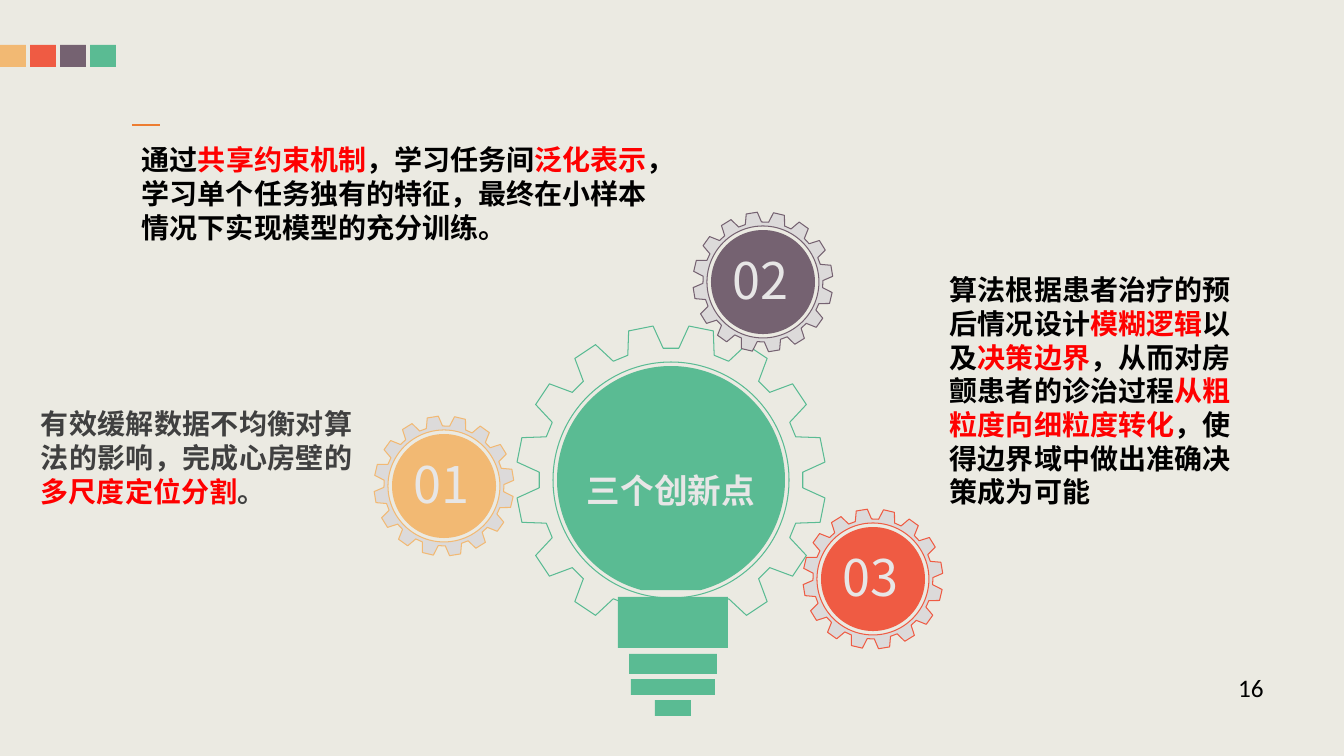
from dataclasses import dataclass
from math import cos, radians, sin

from lxml.etree import SubElement
from pptx import Presentation
from pptx.dml.color import RGBColor
from pptx.enum.shapes import MSO_CONNECTOR, MSO_SHAPE
from pptx.enum.text import MSO_ANCHOR, MSO_AUTO_SIZE, PP_ALIGN
from pptx.oxml.ns import qn
from pptx.shapes.autoshape import Shape
from pptx.slide import Slide
from pptx.text.text import TextFrame, _Run as Run
from pptx.util import Pt

EMU_PER_PX = 914400 / 100.8
CJK_FONT = "Noto Sans CJK SC"
TEETH = 16
PITCH = 360 / TEETH
TIP_HALF, VALLEY_HALF = 4.6, 3.4  # degrees

CREAM = RGBColor(0xEB, 0xEA, 0xE2)
GREEN = RGBColor(0x5A, 0xBB, 0x93)
SAND = RGBColor(0xF2, 0xB9, 0x73)
CORAL = RGBColor(0xEF, 0x5B, 0x43)
PLUM = RGBColor(0x75, 0x62, 0x71)
ORANGE = RGBColor(0xED, 0x7D, 0x31)
GEAR_GREY = RGBColor(0xDC, 0xDA, 0xDA)
LIGHT_GREY = RGBColor(0xE7, 0xE6, 0xE6)
DARK_GREY = RGBColor(0x40, 0x40, 0x40)
RED = RGBColor(0xFF, 0x00, 0x00)
BLACK = RGBColor(0x00, 0x00, 0x00)

Point = tuple[float, float]
Box = tuple[int, int, int, int]


@dataclass(frozen=True)
class Gear:
    center: tuple[int, int]
    tip: int
    valley: int
    hole: int
    turn: float
    line: RGBColor
    fill: RGBColor


@dataclass(frozen=True)
class Innovation:
    number: str
    center: tuple[int, int]
    color: RGBColor


@dataclass(frozen=True)
class Statement:
    """Text pieces alternate between plain and highlighted."""
    box: Box
    pieces: list[str]
    color: RGBColor = BLACK
    align: PP_ALIGN = PP_ALIGN.LEFT


SWATCHES = [SAND, CORAL, PLUM, GREEN]
BULB_GEAR = Gear((671, 480), 155, 132, 118, PITCH / 2, GREEN, CREAM)
BULB_BASE: list[Box] = [(618, 597, 110, 51), (629, 654, 88, 20),
                        (631, 679, 84, 16), (655, 700, 36, 16)]
INNOVATIONS = [
    Innovation("01", (444, 486), SAND),
    Innovation("02", (763, 282), PLUM),
    Innovation("03", (873, 579), CORAL),
]
STATEMENTS = [
    Statement((31, 402, 331, 195),
              ["有效缓解数据不均衡对算法的影响，完成心房壁的", "多尺度定位分割", "。"],
              DARK_GREY, PP_ALIGN.JUSTIFY),
    Statement((132, 138, 536, 227),
              ["通过", "共享约束机制", "，学习任务间", "泛化表示",
               "，学习单个任务独有的特征，最终在小样本情况下实现模型的充分训练。"]),
    Statement((940, 268, 310, 375),
              ["算法根据患者治疗的预后情况设计", "模糊逻辑", "以及", "决策边界",
               "，从而对房颤患者的诊治过程", "从粗粒度向细粒度转化",
               "，使得边界域中做出准确决策成为可能"]),
]


def px(length: float) -> int:
    return round(length * EMU_PER_PX)


def polar(center: Point, radius: float, angle: float) -> Point:
    return (center[0] + radius * cos(radians(angle)),
            center[1] + radius * sin(radians(angle)))


def paint(shape: Shape, fill: RGBColor, line: RGBColor | None = None) -> None:
    shape.shadow.inherit = False
    shape.fill.solid()
    shape.fill.fore_color.rgb = fill
    if line is None:
        shape.line.fill.background()
    else:
        shape.line.color.rgb = line
        shape.line.width = Pt(0.75)


def draw_block(slide: Slide, box: Box, fill: RGBColor) -> None:
    paint(slide.shapes.add_shape(MSO_SHAPE.RECTANGLE, *map(px, box)), fill)


def draw_round(slide: Slide, center: tuple[int, int], radius: int, fill: RGBColor,
               line: RGBColor | None = None, kind: MSO_SHAPE = MSO_SHAPE.OVAL) -> Shape:
    box = (center[0] - radius, center[1] - radius, 2 * radius, 2 * radius)
    disc = slide.shapes.add_shape(kind, *map(px, box))
    paint(disc, fill, line)
    return disc


def draw_gear(slide: Slide, gear: Gear) -> None:
    rim = []
    for tooth in range(TEETH):
        middle = gear.turn + tooth * PITCH
        gap = middle + PITCH / 2
        rim += [polar(gear.center, gear.tip, middle - TIP_HALF),
                polar(gear.center, gear.tip, middle + TIP_HALF),
                polar(gear.center, gear.valley, gap - VALLEY_HALF),
                polar(gear.center, gear.valley, gap + VALLEY_HALF)]
    corners = [(px(x), px(y)) for x, y in rim]
    builder = slide.shapes.build_freeform(*corners[0])
    builder.add_line_segments(corners[1:], close=True)
    paint(builder.convert_to_shape(), gear.fill, gear.line)
    draw_round(slide, gear.center, gear.hole, CREAM, gear.line)


def format_run(run: Run, size: int, color: RGBColor,
               bold: bool = False, font: str = CJK_FONT) -> None:
    run.font.size = Pt(size)
    run.font.bold = bold
    run.font.color.rgb = color
    run.font.name = font
    SubElement(run._r.get_or_add_rPr(), qn("a:ea")).set("typeface", font)


def add_text_frame(slide: Slide, box: Box, wrap: bool = True) -> TextFrame:
    frame = slide.shapes.add_textbox(*map(px, box)).text_frame
    frame.word_wrap = wrap
    return frame


def draw_innovation(slide: Slide, item: Innovation) -> None:
    x, y = item.center
    draw_gear(slide, Gear(item.center, 70, 60, 56, 13.3, item.color, GEAR_GREY))
    draw_round(slide, item.center, 52, item.color)
    frame = add_text_frame(slide, (x - 42, y - 38, 80, 72), wrap=False)
    frame.text = item.number
    frame.paragraphs[0].alignment = PP_ALIGN.CENTER
    format_run(frame.paragraphs[0].runs[0], 36, LIGHT_GREY)


def draw_statement(slide: Slide, statement: Statement) -> None:
    paragraph = add_text_frame(slide, statement.box).paragraphs[0]
    paragraph.alignment = statement.align
    paragraph.line_spacing = Pt(24)
    for index, piece in enumerate(statement.pieces):
        run = paragraph.add_run()
        run.text = piece
        format_run(run, 20, RED if index % 2 else statement.color, bold=True)


def draw_header(slide: Slide) -> None:
    for index, color in enumerate(SWATCHES):
        draw_block(slide, (index * 30, 45, 26, 22), color)
    dash = slide.shapes.add_connector(
        MSO_CONNECTOR.STRAIGHT, *map(px, (132, 125, 160, 125)))
    dash.line.color.rgb = ORANGE
    dash.line.width = Pt(1.5)
    SubElement(dash._element.spPr, qn("a:effectLst"))


def draw_bulb(slide: Slide) -> None:
    draw_gear(slide, BULB_GEAR)
    for box in BULB_BASE:
        draw_block(slide, box, GREEN)
    glass = draw_round(slide, BULB_GEAR.center, 114, GREEN, kind=MSO_SHAPE.CHORD)
    for index, degrees in enumerate((105, 75)):
        glass.adjustments[index] = degrees * 0.6

    title = slide.shapes.title
    title.left, title.top, title.width, title.height = map(px, (576, 445, 190, 64))
    slide.shapes._spTree.append(title._element)  # in front of the bulb
    frame = title.text_frame
    frame.text = "三个创新点"
    frame.auto_size = MSO_AUTO_SIZE.NONE
    frame.vertical_anchor = MSO_ANCHOR.TOP
    frame.paragraphs[0].alignment = PP_ALIGN.CENTER
    frame.paragraphs[0].line_spacing = 1.5
    format_run(frame.paragraphs[0].runs[0], 24, LIGHT_GREY, bold=True)


def draw_page_number(slide: Slide) -> None:
    frame = add_text_frame(slide, (1189, 662, 124, 44))
    frame.text = "16"
    frame.vertical_anchor = MSO_ANCHOR.MIDDLE
    frame.paragraphs[0].alignment = PP_ALIGN.CENTER
    frame.paragraphs[0].line_spacing = 1.2
    format_run(frame.paragraphs[0].runs[0], 18, BLACK, font="Calibri")


def main() -> None:
    deck = Presentation()
    deck.slide_width, deck.slide_height = px(1344), px(756)
    slide = deck.slides.add_slide(deck.slide_layouts[5])
    slide.background.fill.solid()
    slide.background.fill.fore_color.rgb = CREAM
    draw_header(slide)
    draw_bulb(slide)
    for item in INNOVATIONS:
        draw_innovation(slide, item)
    for statement in STATEMENTS:
        draw_statement(slide, statement)
    draw_page_number(slide)
    deck.save("out.pptx")


if __name__ == "__main__":
    main()
